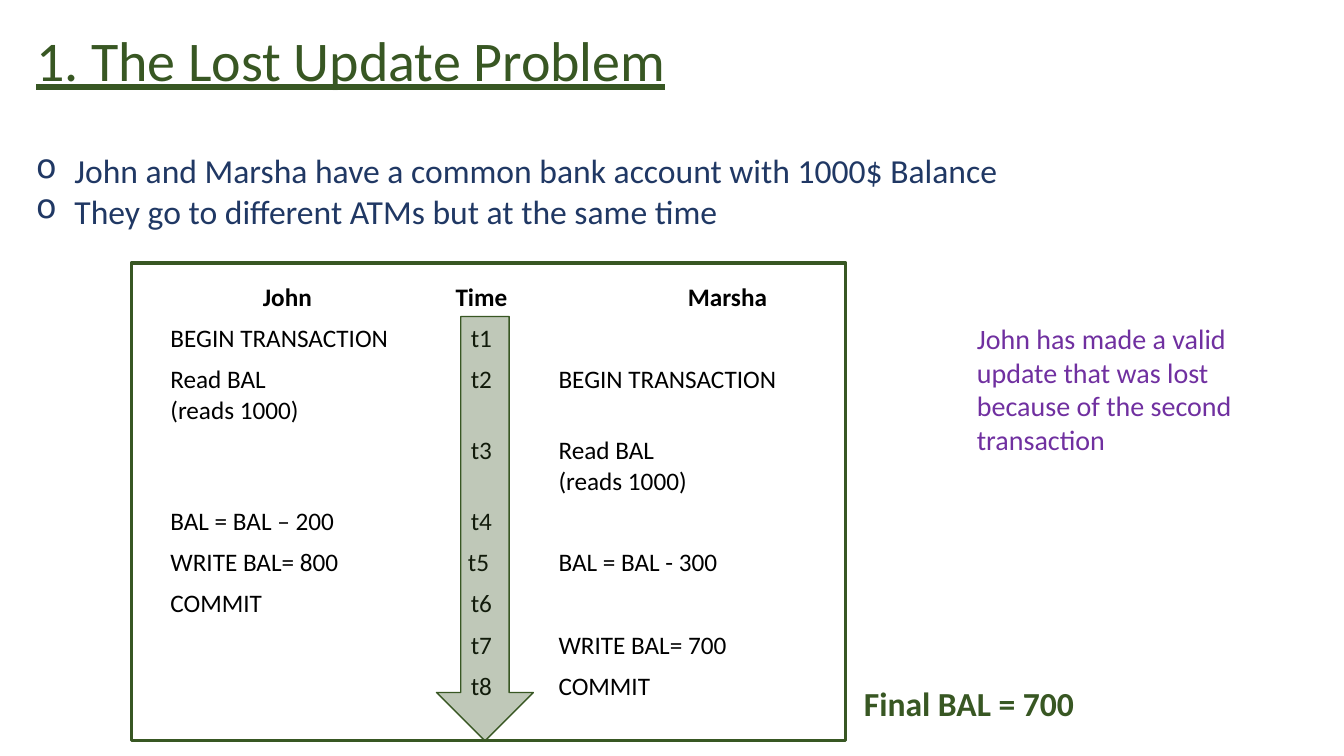
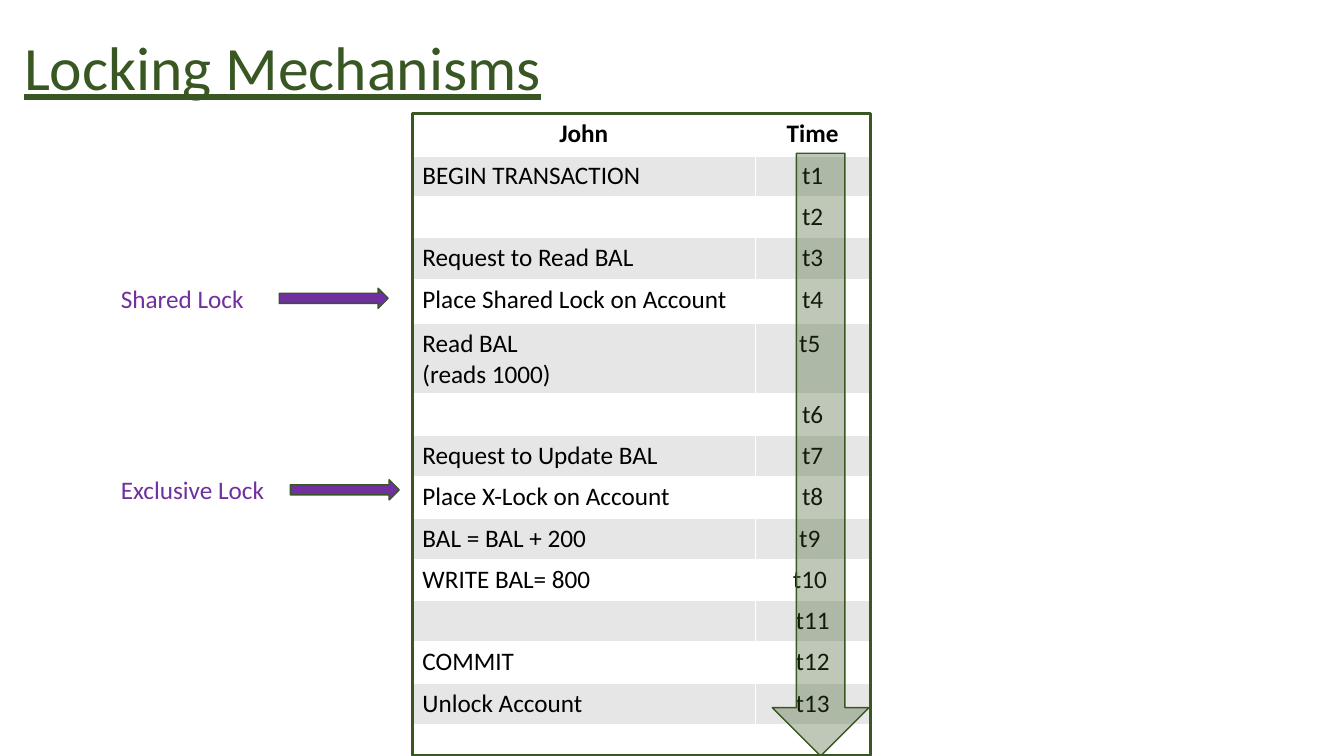
from lxml.etree import SubElement
from pptx import Presentation
from pptx.dml.color import RGBColor
from pptx.enum.shapes import MSO_SHAPE
from pptx.enum.text import MSO_ANCHOR, PP_ALIGN
from pptx.oxml.ns import qn
from pptx.util import Emu, Pt

PX = 9144
FONT = "Calibri"
COLORS = {
    "green": "385723",
    "navy": "203864",
    "purple": "7030A0",
    "black": "000000",
    "white": "FFFFFF",
    "band": "E7E6E6",
}
ROW_HEIGHT = 41
TWO_LINE_HEIGHT = 70

ACCOUNT_EVENTS = [
    ("John", "Time", "Marsha"),
    ("BEGIN TRANSACTION", "t1", ""),
    ("Read BAL\n(reads 1000)", "t2", "BEGIN TRANSACTION"),
    ("", "t3", "Read BAL\n(reads 1000)"),
    ("BAL = BAL – 200", "t4", ""),
    ("WRITE BAL= 800", "t5 ", "BAL = BAL - 300"),
    ("COMMIT", "t6", ""),
    ("", "t7", "WRITE BAL= 700"),
    ("", "t8", "COMMIT"),
]
LOCK_EVENTS = [
    ("John", "Time"),
    ("BEGIN TRANSACTION", "t1"),
    ("", "t2"),
    ("Request to Read BAL", "t3"),
    ("Place Shared Lock on Account", "t4"),
    ("Read BAL\n(reads 1000)", "t5 "),
    ("", "t6"),
    ("Request to Update BAL", "t7"),
    ("Place X-Lock on Account", "t8"),
    ("BAL = BAL + 200", "t9 "),
    ("WRITE BAL= 800", "t10 "),
    ("", "t11"),
    ("COMMIT", "t12"),
    ("Unlock Account", "t13"),
]


def px(*lengths):
    return [Emu(length * PX) for length in lengths]


def rgb(name):
    return RGBColor.from_string(COLORS[name])


def style_font(font, size, color, bold=False):
    font.name = FONT
    font.size = Pt(size)
    font.bold = bold
    font.color.rgb = rgb(color)


def add_text(slide, area, text, size, color, bold=False):
    frame = slide.shapes.add_textbox(*px(*area)).text_frame
    frame.word_wrap = True
    frame.text = text
    for paragraph in frame.paragraphs:
        style_font(paragraph.font, size, color, bold)
    return frame


def add_title(slide, area, text, size, anchor):
    frame = add_text(slide, area, text, size, "green")
    frame.vertical_anchor = anchor
    paragraph = frame.paragraphs[0]
    paragraph.line_spacing = 0.9
    paragraph.font.underline = True


def add_bullets(slide, area, lines):
    frame = add_text(slide, area, "\n".join(lines), 24, "navy")
    indent = 38 * PX
    for paragraph in frame.paragraphs:
        properties = paragraph._p.get_or_add_pPr()
        properties.set("marL", str(indent))
        properties.set("indent", str(-indent))
        bullet = properties.makeelement(qn("a:buChar"), {"char": "o"})
        properties.insert(0, bullet)


def add_shape(slide, kind, area, fill=None, opacity=100, line_width=1):
    shape = slide.shapes.add_shape(kind, *px(*area))
    shape.shadow.inherit = False
    shape.line.color.rgb = rgb("green")
    shape.line.width = Pt(line_width)
    if fill is None:
        shape.fill.background()
        return
    shape.fill.solid()
    shape.fill.fore_color.rgb = rgb(fill)
    if opacity < 100:
        color = shape.fill._xPr.find(f"{qn('a:solidFill')}/{qn('a:srgbClr')}")
        SubElement(color, qn("a:alpha"), val=str(opacity * 1000))


def set_borders(cell, bottom_width):
    properties = cell._tc.get_or_add_tcPr()
    widths = {"lnL": 1, "lnR": 1, "lnT": 1, "lnB": bottom_width}
    for index, (edge, width) in enumerate(widths.items()):
        line = properties.makeelement(qn(f"a:{edge}"), {"w": str(Pt(width))})
        fill = SubElement(line, qn("a:solidFill"))
        SubElement(fill, qn("a:srgbClr"), val=COLORS["white"])
        properties.insert(index, line)


def fill_cell(cell, text, is_header, is_centred, is_banded):
    cell.text = text
    for paragraph in cell.text_frame.paragraphs:
        style_font(paragraph.font, 18, "black", is_header)
        paragraph.alignment = PP_ALIGN.CENTER if is_centred else PP_ALIGN.LEFT
    if is_banded:
        cell.fill.solid()
        cell.fill.fore_color.rgb = rgb("band")
    else:
        cell.fill.background()
    set_borders(cell, 3 if is_header else 1)


def add_schedule(slide, left, top, widths, events, banded=False, tall_rows=None):
    heights = [
        TWO_LINE_HEIGHT if any("\n" in text for text in event) else ROW_HEIGHT
        for event in events
    ]
    for row, height in (tall_rows or {}).items():
        heights[row] = height
    area = px(left, top, sum(widths), sum(heights))
    table = slide.shapes.add_table(len(events), len(widths), *area).table
    table.first_row = False
    table.horz_banding = False
    for column, width in zip(table.columns, px(*widths)):
        column.width = width
    for row, height in zip(table.rows, px(*heights)):
        row.height = height
    for row, event in enumerate(events):
        for column, text in enumerate(event):
            fill_cell(
                table.cell(row, column),
                text,
                is_header=row == 0,
                is_centred=row == 0 or column == 1,
                is_banded=banded and row % 2 == 1,
            )


def add_timeline(slide, arrow_area, frame_area):
    add_shape(slide, MSO_SHAPE.DOWN_ARROW, arrow_area, "green", opacity=32)
    add_shape(slide, MSO_SHAPE.RECTANGLE, frame_area, line_width=2.25)


def add_lock_label(slide, text, top, arrow_left):
    add_text(slide, (110, top, 249, 40), text, 18, "purple")
    arrow_area = (arrow_left, top + 10, 108, 20)
    add_shape(slide, MSO_SHAPE.RIGHT_ARROW, arrow_area, "purple")


def build_lost_update(slide):
    add_title(slide, (26, 28, 933, 76), "1. The Lost Update Problem", 40, MSO_ANCHOR.TOP)
    add_bullets(slide, (26, 144, 1177, 131), [
        "John and Marsha have a common bank account with 1000$ Balance",
        "They go to different ATMs but at the same time",
    ])
    add_schedule(slide, 159, 275, (252, 133, 355), ACCOUNT_EVENTS)
    remark = "John has made a valid update that was lost because of the second transaction"
    add_text(slide, (959, 314, 275, 145), remark, 20, "purple")
    add_timeline(slide, (433, 314, 96, 421), (130, 261, 709, 474))
    add_text(slide, (847, 673, 393, 50), "Final BAL = 700", 24, "green", bold=True)


def build_locking(slide):
    add_schedule(slide, 409, 113, (340, 114), LOCK_EVENTS, banded=True, tall_rows={4: 44})
    add_timeline(slide, (766, 152, 96, 598), (409, 113, 454, 637))
    add_title(slide, (14, 24, 850, 92), "Locking Mechanisms", 44, MSO_ANCHOR.MIDDLE)
    add_lock_label(slide, "Shared Lock", 276, 277)
    add_lock_label(slide, "Exclusive Lock", 466, 288)


def main():
    deck = Presentation()
    deck.slide_width, deck.slide_height = px(1333, 750)
    for build in (build_lost_update, build_locking):
        build(deck.slides.add_slide(deck.slide_layouts[6]))
    deck.save("out.pptx")


if __name__ == "__main__":
    main()
